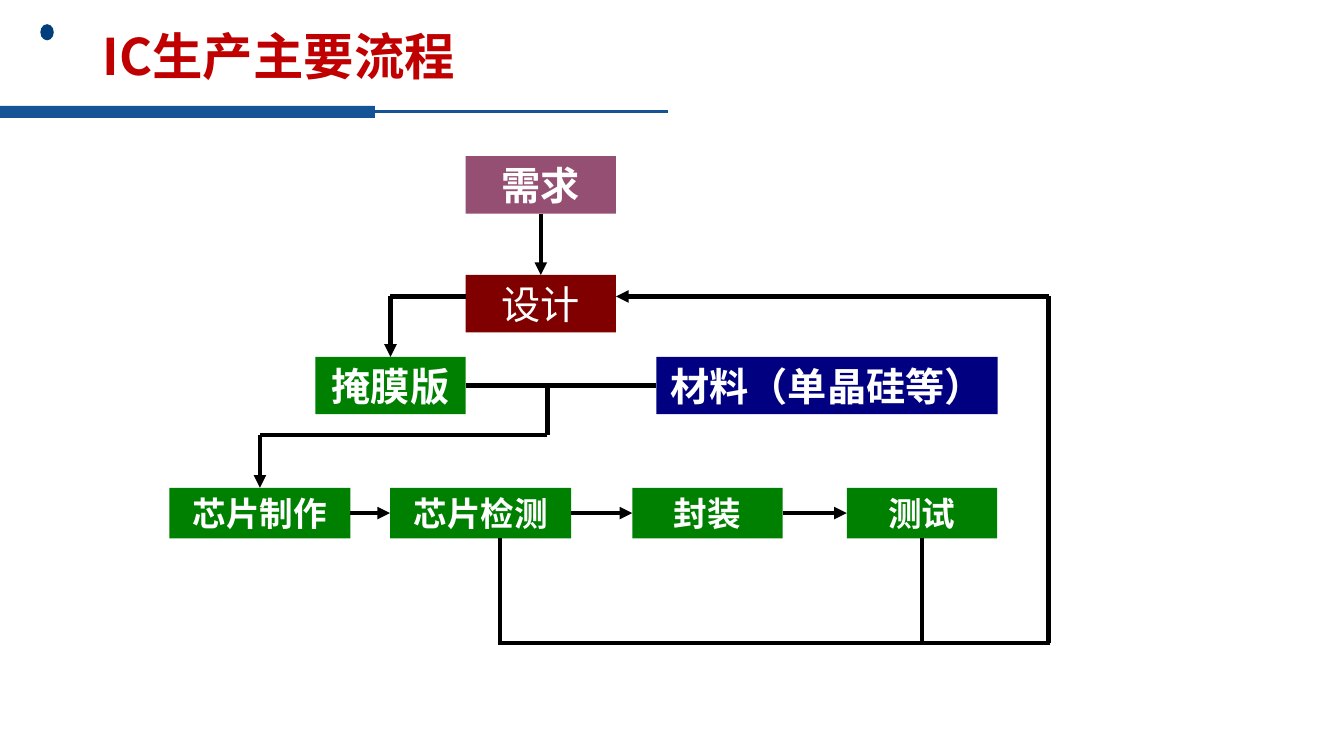
from dataclasses import dataclass

from lxml import etree
from pptx import Presentation
from pptx import util as u
from pptx.dml.color import RGBColor
from pptx.enum import shapes, text
from pptx.oxml import ns

WIDTH, HEIGHT = 13.33, 7.5
TOP, LEFT, BOTTOM, RIGHT = range(4)
BLUE, GREEN = "145396", "008000"


@dataclass
class Area:
    left: float
    top: float
    width: float
    height: float

    def point(self, x, y):
        """Turn percentages of this area into slide lengths."""
        return (u.Inches(self.left + self.width * x / 100),
                u.Inches(self.top + self.height * y / 100))

    def frame(self, x, y, width, height):
        return *self.point(x, y), u.Inches(self.width * width / 100), u.Inches(self.height * height / 100)


def color(value):
    return RGBColor.from_string(value)


def write(frame, words, size, font="Calibri", tint="FFFFFF", bold=True,
          align=text.PP_ALIGN.CENTER, spacing=1.0, inset=0):
    frame.word_wrap = True
    frame.auto_size = text.MSO_AUTO_SIZE.NONE
    frame.vertical_anchor = text.MSO_ANCHOR.MIDDLE
    frame.margin_left = frame.margin_right = u.Inches(inset)
    frame.margin_top = frame.margin_bottom = 0
    para = frame.paragraphs[0]
    para.alignment, para.line_spacing = align, spacing
    span = para.add_run()
    span.text = words
    span.font.size, span.font.bold, span.font.name = u.Pt(size), bold, font
    span.font.color.rgb = color(tint)
    east_asian = etree.SubElement(span.font._element, ns.qn("a:ea"))
    east_asian.set("typeface", "Noto Sans CJK SC")


def add_block(page, frame, fill, kind=shapes.MSO_SHAPE.RECTANGLE):
    block = page.shapes.add_shape(kind, *frame)
    block.shadow.inherit = False
    block.fill.solid()
    block.fill.fore_color.rgb = color(fill)
    block.line.fill.background()
    return block


def side_point(box, side):
    x = {LEFT: 0, RIGHT: box.width}.get(side, box.width // 2)
    y = {TOP: 0, BOTTOM: box.height}.get(side, box.height // 2)
    return box.left + x, box.top + y


def add_line(page, area, start, end, arrow=False, tint="000000", weight=3):
    """Each end is an (x, y) percentage pair or a (box, side) pair."""
    joined = [not isinstance(place[0], (int, float)) for place in (start, end)]
    begin, finish = (side_point(*place) if joins else area.point(*place)
                     for place, joins in zip((start, end), joined))
    line = page.shapes.add_connector(shapes.MSO_CONNECTOR.STRAIGHT, *begin, *finish)
    if joined[0]:
        line.begin_connect(*start)
    if joined[1]:
        line.end_connect(*end)
    line.line.color.rgb = color(tint)
    line.line.width = u.Pt(weight)
    if arrow:
        etree.SubElement(line.line._get_or_add_ln(), ns.qn("a:tailEnd"), type="triangle")
    etree.SubElement(line._element.spPr, ns.qn("a:effectLst"))


def add_header(page, area):
    add_block(page, area.frame(3, 20.5, 1, 13.7), "003F7B", shapes.MSO_SHAPE.OVAL)
    add_block(page, area.frame(0, 89.8, 27.9, 10.2), BLUE)
    add_line(page, area, (27.6, 94.5), (49.7, 94.5), tint=BLUE, weight=2.25)
    title = page.shapes.title
    title.left, title.top, title.width, title.height = area.frame(6.9, 3.4, 86.3, 93.2)
    write(title.text_frame, "IC生产主要流程", 36, font="Noto Sans CJK SC", tint="C00000",
          align=text.PP_ALIGN.LEFT, spacing=0.9, inset=0.1)


def add_flow(page, area):
    def step(words, x, y, width=17.1, height=11.8, fill=GREEN, size=28, **style):
        box = add_block(page, area.frame(x, y, width, height), fill)
        write(box.text_frame, words, size, **style)
        return box

    def link(start, end, arrow=False):
        add_line(page, area, start, end, arrow)

    demand = step("需求", 33.7, 0, fill="954F72")
    design = step("设计", 33.7, 24.4, fill="800000", font="Times New Roman", bold=False)
    material = step("材料（单晶硅等）", 55.4, 41.2, width=38.8, fill="000080")
    mask = step("掩膜版", 16.6, 41.2)
    stages = [step(words, x, 68.1, width, 10.4, size=24) for words, x, width in (
        ("芯片制作", 0, 20.6), ("芯片检测", 25.1, 20.6),
        ("封装", 52.65, 17.1), ("测试", 77.05, 17.1))]
    making, testing = stages[0], stages[-1]

    link((demand, BOTTOM), (design, TOP), arrow=True)
    for before, after in zip(stages, stages[1:]):
        link((before, RIGHT), (after, LEFT), arrow=True)

    design_row, branch_row, return_row = 28.8, 57.3, 100
    link((33.7, design_row), (25.15, design_row))
    link((25.15, design_row), (mask, TOP), arrow=True)

    link((mask, RIGHT), (material, LEFT))
    link((43, 47.1), (43, branch_row))
    link((43, branch_row), (10.3, branch_row))
    link((10.3, branch_row), (making, TOP), arrow=True)

    link((37.6, 78.5), (37.6, return_row))
    link((testing, BOTTOM), (85.6, return_row))
    link((100.2, return_row), (37.4, return_row))
    link((100, return_row), (100, design_row))
    link((100, design_row), (50.8, design_row), arrow=True)


def main():
    deck = Presentation()
    deck.slide_width, deck.slide_height = u.Inches(WIDTH), u.Inches(HEIGHT)
    page = deck.slides.add_slide(deck.slide_layouts[5])
    add_header(page, Area(0, 0, WIDTH, 1.17))
    add_flow(page, Area(1.68, 1.55, 8.72, 4.83))
    deck.save("out.pptx")


if __name__ == "__main__":
    main()
